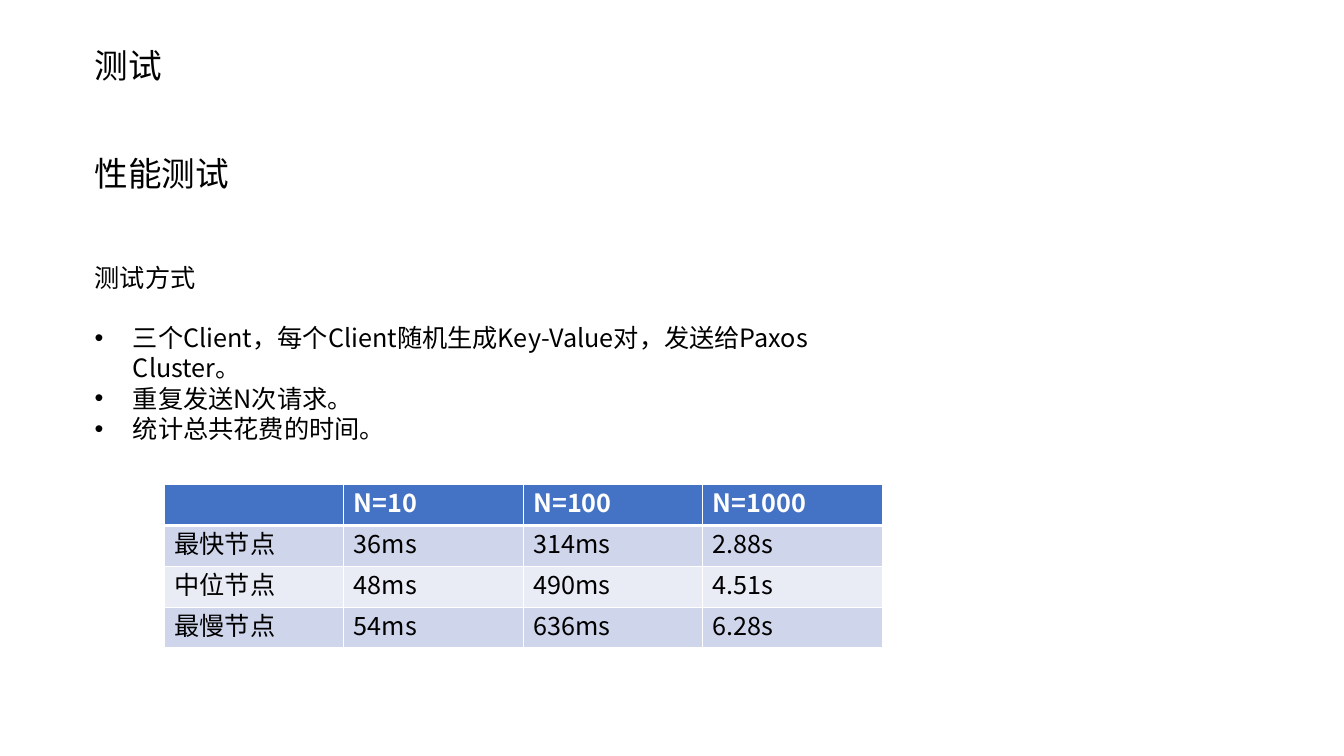
from lxml.etree import SubElement
from pptx import Presentation
from pptx.dml.color import RGBColor
from pptx.oxml.ns import qn
from pptx.util import Emu, Pt

FONT = "Noto Sans CJK SC"
BLACK, WHITE = "000000", "FFFFFF"
HEADER_FILL = "4472C4"
BAND_FILLS = ["CFD5EA", "E9EBF5"]
LINE_HEIGHT = 1.2

METHOD_STEPS = [
    "三个Client，每个Client随机生成Key-Value对，发送给Paxos Cluster。",
    "重复发送N次请求。",
    "统计总共花费的时间。",
]
TIMINGS = [
    ["", "N=10", "N=100", "N=1000"],
    ["最快节点", "36ms", "314ms", "2.88s"],
    ["中位节点", "48ms", "490ms", "4.51s"],
    ["最慢节点", "54ms", "636ms", "6.28s"],
]


def px(length):
    """Convert px, at 100 to the inch, to EMU."""
    return Emu(length * 9144)


def color(hex_string):
    return RGBColor.from_string(hex_string)


def write(para, text, size=18, ink=BLACK, bold=False, space_before=0):
    para.line_spacing = Pt(round(size * LINE_HEIGHT, 1))
    para.space_before = Pt(space_before)
    span = para.add_run()
    span.text = text
    font = span.font
    font.name, font.size, font.bold = FONT, Pt(size), bold
    font.color.rgb = color(ink)
    SubElement(font._element, qn("a:ea"), typeface=FONT)


def add_bullet(para, indent):
    properties = para._p.get_or_add_pPr()
    properties.set("marL", str(px(indent)))
    properties.set("indent", str(-px(indent)))
    SubElement(properties, qn("a:buFont"), typeface="Arial")
    SubElement(properties, qn("a:buChar"), char="•")


def add_text_frame(page, left, top, width, height):
    box = page.shapes.add_textbox(px(left), px(top), px(width), px(height))
    box.text_frame.word_wrap = True
    return box.text_frame


def add_heading(page, text, left, top, width, height):
    frame = add_text_frame(page, left, top, width, height)
    write(frame.paragraphs[0], text, size=24)


def add_method(page, left, top, width, height):
    frame = add_text_frame(page, left, top, width, height)
    write(frame.paragraphs[0], "测试方式")
    for index, step in enumerate(METHOD_STEPS):
        para = frame.add_paragraph()
        write(para, step, space_before=0 if index else 21.6)
        add_bullet(para, indent=38)


def set_borders(cell, bottom):
    properties = cell._tc.get_or_add_tcPr()
    widths = {"a:lnL": 1, "a:lnR": 1, "a:lnT": 1, "a:lnB": bottom}
    for position, (tag, width) in enumerate(widths.items()):
        line = properties.makeelement(qn(tag), {"w": str(Pt(width))})
        fill = SubElement(line, qn("a:solidFill"))
        SubElement(fill, qn("a:srgbClr"), val=WHITE)
        properties.insert(position, line)


def add_timings(page, left, top, width, height):
    rows, columns = len(TIMINGS), len(TIMINGS[0])
    table = page.shapes.add_table(
        rows, columns, px(left), px(top), px(width), px(height)
    ).table
    for row, values in enumerate(TIMINGS):
        header = row == 0
        fill = HEADER_FILL if header else BAND_FILLS[(row - 1) % 2]
        for column, value in enumerate(values):
            cell = table.cell(row, column)
            cell.fill.solid()
            cell.fill.fore_color.rgb = color(fill)
            # The rule under the header is shared with the first body row.
            set_borders(cell, bottom=3 if header else 1)
            if row == 1:
                cell._tc.tcPr.find(qn("a:lnT")).set("w", str(Pt(3)))
            write(cell.text_frame.paragraphs[0], value,
                  ink=WHITE if header else BLACK, bold=header)


def main():
    deck = Presentation()
    deck.slide_width, deck.slide_height = px(1333), px(750)
    page = deck.slides.add_slide(deck.slide_layouts[6])
    add_heading(page, "测试", 84, 40, 88, 50)
    add_heading(page, "性能测试", 84, 147, 1174, 50)
    add_method(page, 84, 255, 828, 162)
    add_timings(page, 163, 481, 712, 162)
    deck.save("out.pptx")


if __name__ == "__main__":
    main()
